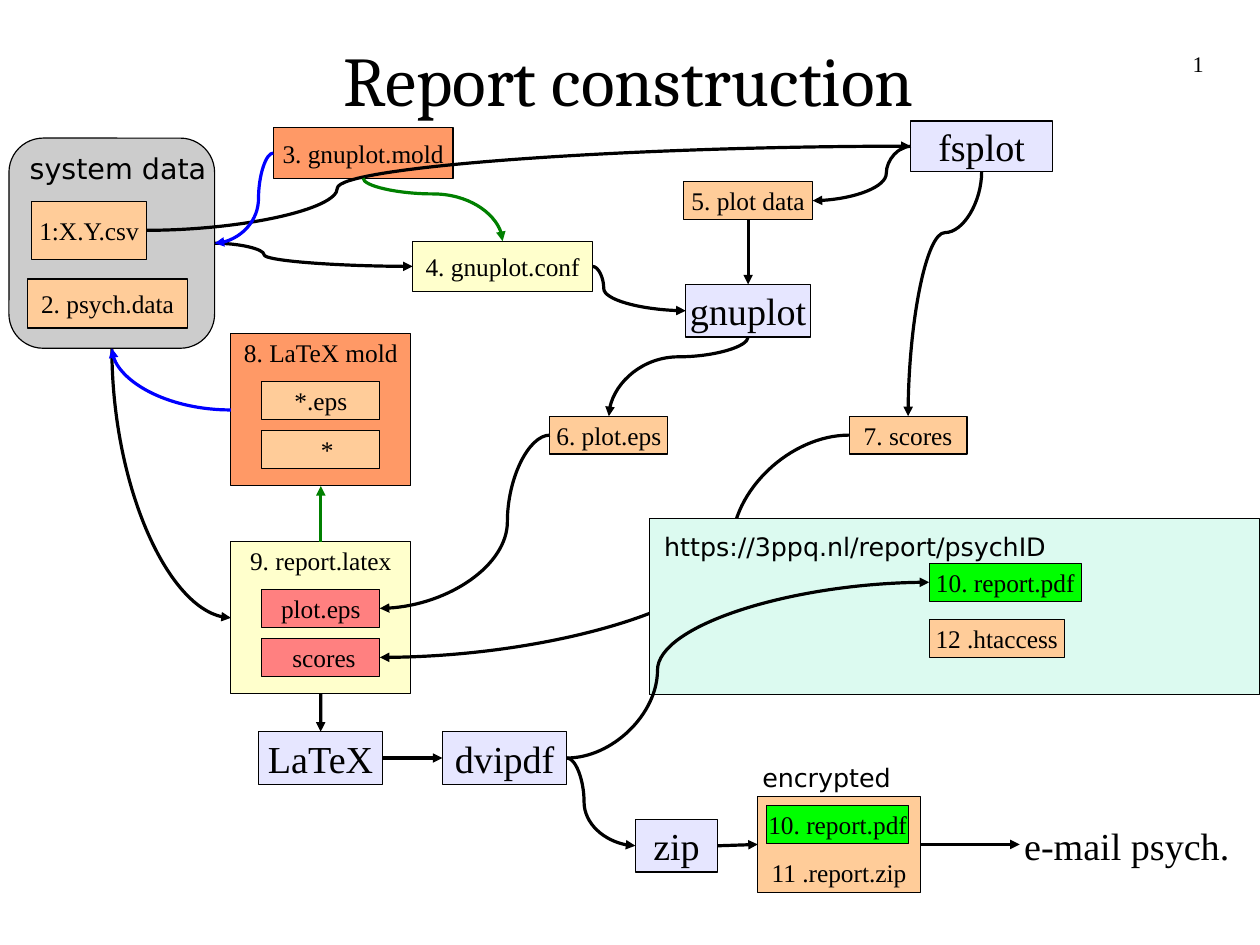
from dataclasses import dataclass

from lxml.etree import SubElement
from pptx import Presentation
from pptx.dml.color import RGBColor
from pptx.enum.shapes import MSO_CONNECTOR, MSO_SHAPE
from pptx.enum.text import MSO_ANCHOR, MSO_AUTO_SIZE, PP_ALIGN
from pptx.oxml.ns import qn
from pptx.util import Cm, Pt

TOP, LEFT, BOTTOM, RIGHT = range(4)


@dataclass(frozen=True)
class Theme:
    black: str = "000000"
    blue: str = "0000FF"
    green: str = "008000"
    system: str = "CCCCCC"
    data: str = "FFCC99"
    program: str = "E6E6FF"
    mold: str = "FF9966"
    built: str = "FFFFCC"
    inserted: str = "FF8080"
    pdf: str = "00FF00"
    web: str = "DCFAF0"
    serif: str = "Times New Roman"
    sans: str = "DejaVu Sans"
    heading: str = "Cambria"
    title_size: int = 44
    program_size: int = 24
    group_size: int = 18
    label_size: int = 16
    number_size: int = 14


def write(tf, text, font, size, color, align=PP_ALIGN.CENTER,
          anchor=MSO_ANCHOR.MIDDLE, inset=0.1, shift=0, wrap=False):
    tf.word_wrap = wrap
    tf.vertical_anchor = anchor
    tf.margin_left = Cm(inset + shift)
    tf.margin_right = tf.margin_top = tf.margin_bottom = Cm(inset)
    p = tf.paragraphs[0]
    p.alignment = align
    r = p.add_run()
    r.text = text
    r.font.name = font
    r.font.size = Pt(size)
    r.font.color.rgb = RGBColor.from_string(color)


def side_point(sp, side):
    x = sp.left + (0 if side == LEFT else sp.width if side == RIGHT else sp.width // 2)
    y = sp.top + (0 if side == TOP else sp.height if side == BOTTOM else sp.height // 2)
    return x, y


class Diagram:
    def __init__(self, slide, theme):
        self.s = slide
        self.theme = theme

    def title(self, text, x, y, w, h):
        sp = self.s.shapes.title
        sp.left, sp.top, sp.width, sp.height = Cm(x), Cm(y), Cm(w), Cm(h)
        t = self.theme
        write(sp.text_frame, text, t.heading, t.title_size, t.black, inset=0, wrap=True)

    def box(self, x, y, w, h, fill, text=None, size=None,
            shape=MSO_SHAPE.RECTANGLE, **fmt):
        t = self.theme
        sp = self.s.shapes.add_shape(shape, Cm(x), Cm(y), Cm(w), Cm(h))
        sp.shadow.inherit = False
        sp.fill.solid()
        sp.fill.fore_color.rgb = RGBColor.from_string(fill)
        sp.line.color.rgb = RGBColor.from_string(t.black)
        sp.line.width = Pt(0)
        if text:
            write(sp.text_frame, text, t.serif, size or t.label_size, t.black, **fmt)
        return sp

    def program(self, x, y, text, w=2.77, h=1.17):
        return self.box(x, y, w, h, self.theme.program, text, self.theme.program_size)

    def file(self, x, y, text, w=2.62, h=0.84, fill=None, **fmt):
        return self.box(x, y, w, h, fill or self.theme.data, text, **fmt)

    def frame(self, y, fill, text, part_fill, parts):
        frame = self.box(5.13, y, 4, 3.38, fill, text, anchor=MSO_ANCHOR.TOP, inset=0.08)
        files = [self.file(5.82, y + 1.06 + 1.09 * i, part, fill=part_fill, shift=shift)
                 for i, (part, shift) in enumerate(parts)]
        return frame, files

    def label(self, x, y, w, h, text, font, size):
        tb = self.s.shapes.add_textbox(Cm(x), Cm(y), Cm(w), Cm(h))
        write(tb.text_frame, text, font, size, self.theme.black,
              align=PP_ALIGN.LEFT, anchor=MSO_ANCHOR.TOP)
        tb.text_frame.auto_size = MSO_AUTO_SIZE.SHAPE_TO_FIT_TEXT
        return tb

    def number(self, x, y, w, h, text):
        tb = self.s.shapes.add_textbox(Cm(x), Cm(y), Cm(w), Cm(h))
        t = self.theme
        write(tb.text_frame, text, t.serif, t.number_size, t.black,
              align=PP_ALIGN.RIGHT, anchor=MSO_ANCHOR.TOP, inset=0, wrap=True)

    def arrow_style(self, cx, color):
        cx.line.color.rgb = RGBColor.from_string(color or self.theme.black)
        cx.line.width = Pt(0)
        SubElement(cx.line._get_or_add_ln(), qn("a:tailEnd"), type="triangle")
        SubElement(cx._element.spPr, qn("a:effectLst"))

    def straight(self, a, a_side, b, b_side, color=None):
        cx = self.s.shapes.add_connector(
            MSO_CONNECTOR.STRAIGHT, *side_point(a, a_side), *side_point(b, b_side))
        cx.begin_connect(a, a_side)
        cx.end_connect(b, b_side)
        self.arrow_style(cx, color)

    def curve(self, a, a_side, b, b_side, color=None, bend=0.25):
        x1, y1 = side_point(a, a_side)
        x2, y2 = side_point(b, b_side)
        dx, dy = x2 - x1, y2 - y1
        if a_side in (LEFT, RIGHT):
            angle, u, v = (0, dx, dy) if dx > 0 else (180, -dx, -dy)
        else:
            angle, u, v = (90, dy, -dx) if dx < 0 else (270, -dy, dx)
        mx, my = (x1 + x2) // 2, (y1 + y2) // 2
        bx, by = mx - u // 2, my - v // 2
        cx = self.s.shapes.add_connector(MSO_CONNECTOR.CURVE, bx, by, bx + u, by + v)
        spPr = cx._element.spPr
        if angle:
            spPr.find(qn("a:xfrm")).set("rot", str(angle * 60000))
        geom = spPr.find(qn("a:prstGeom"))
        if a_side % 2 == b_side % 2:
            SubElement(geom.find(qn("a:avLst")), qn("a:gd"),
                       name="adj1", fmla=f"val {round(bend * 100000)}")
        else:
            geom.set("prst", "curvedConnector2")
        self.arrow_style(cx, color)


def main():
    prs = Presentation()
    prs.slide_width, prs.slide_height = Cm(28), Cm(21)
    t = Theme()
    d = Diagram(prs.slides.add_slide(prs.slide_layouts[5]), t)

    d.title("Report construction", 2.03, 0, 23.9, 3.5)
    d.number(20.22, 1.12, 6.53, 1.45, "1")

    system = d.box(0.2, 3.07, 4.57, 4.67, t.system, shape=MSO_SHAPE.ROUNDED_RECTANGLE)
    d.label(0.56, 3.25, 4.14, 0.94, "system data", t.sans, t.group_size)
    csv = d.file(0.71, 4.47, "1:X.Y.csv", w=2.54, h=1.3)
    d.file(0.61, 6.2, "2. psych.data", w=3.56, h=1.09)

    gnuplot_mold = d.box(6.07, 2.84, 4, 1.12, t.mold, "3. gnuplot.mold")
    gnuplot_conf = d.box(9.17, 5.36, 4, 1.12, t.built, "4. gnuplot.conf")
    fsplot = d.program(20.24, 2.69, "fsplot", w=3.15, h=1.12)
    gnuplot = d.program(15.24, 6.32, "gnuplot")
    plot_data = d.file(15.19, 4.04, "5. plot data", w=2.87)
    plot_eps = d.file(12.22, 9.25, "6. plot.eps")
    scores = d.file(18.87, 9.25, "7. scores")

    latex_mold, _ = d.frame(7.42, t.mold, "8. LaTeX mold", t.data,
                            [("*.eps", 0), ("*", 0.28)])
    report, (eps_part, scores_part) = d.frame(
        12.04, t.built, "9. report.latex", t.inserted, [("plot.eps", 0), ("scores", 0.14)])
    latex = d.program(5.74, 16.26, "LaTeX")
    dvipdf = d.program(9.83, 16.26, "dvipdf")

    d.curve(scores, LEFT, scores_part, RIGHT)
    d.box(14.43, 11.53, 13.57, 3.91, t.web)
    d.label(14.66, 11.71, 8.71, 0.86, "https://3ppq.nl/report/psychID", t.sans, t.label_size)
    web_pdf = d.file(20.65, 12.52, "10. report.pdf", w=3.38, fill=t.pdf)
    d.file(20.65, 13.77, "12 .htaccess", w=3)

    zip_box = d.program(14.12, 18.21, "zip", w=1.83)
    archive = d.box(16.84, 17.7, 3.61, 2.13, t.data, "11 .report.zip",
                    anchor=MSO_ANCHOR.BOTTOM)
    d.file(17.04, 17.91, "10. report.pdf", w=3.15, fill=t.pdf)
    d.label(16.84, 16.84, 3.07, 0.86, "encrypted", t.sans, t.label_size)
    email = d.label(22.66, 18.18, 5.3, 1.17, "e-mail psych.", t.serif, t.program_size)

    d.curve(csv, RIGHT, fsplot, LEFT)
    d.curve(fsplot, LEFT, plot_data, RIGHT)
    d.curve(fsplot, BOTTOM, scores, TOP)
    d.curve(plot_eps, LEFT, eps_part, RIGHT)
    d.curve(system, BOTTOM, report, LEFT)
    d.curve(dvipdf, RIGHT, web_pdf, LEFT)
    d.curve(dvipdf, RIGHT, zip_box, LEFT)
    d.curve(system, RIGHT, gnuplot_conf, LEFT)
    d.curve(gnuplot_conf, RIGHT, gnuplot, LEFT, bend=0.12)
    d.curve(gnuplot, BOTTOM, plot_eps, TOP)
    d.curve(gnuplot_mold, LEFT, system, RIGHT, t.blue)
    d.curve(gnuplot_mold, BOTTOM, gnuplot_conf, TOP, t.green)
    d.curve(latex_mold, LEFT, system, BOTTOM, t.blue)

    d.straight(plot_data, BOTTOM, gnuplot, TOP)
    d.straight(report, TOP, latex_mold, BOTTOM, t.green)
    d.straight(report, BOTTOM, latex, TOP)
    d.straight(latex, RIGHT, dvipdf, LEFT)
    d.straight(zip_box, RIGHT, archive, LEFT)
    d.straight(archive, RIGHT, email, LEFT)

    prs.save("out.pptx")


if __name__ == "__main__":
    main()
